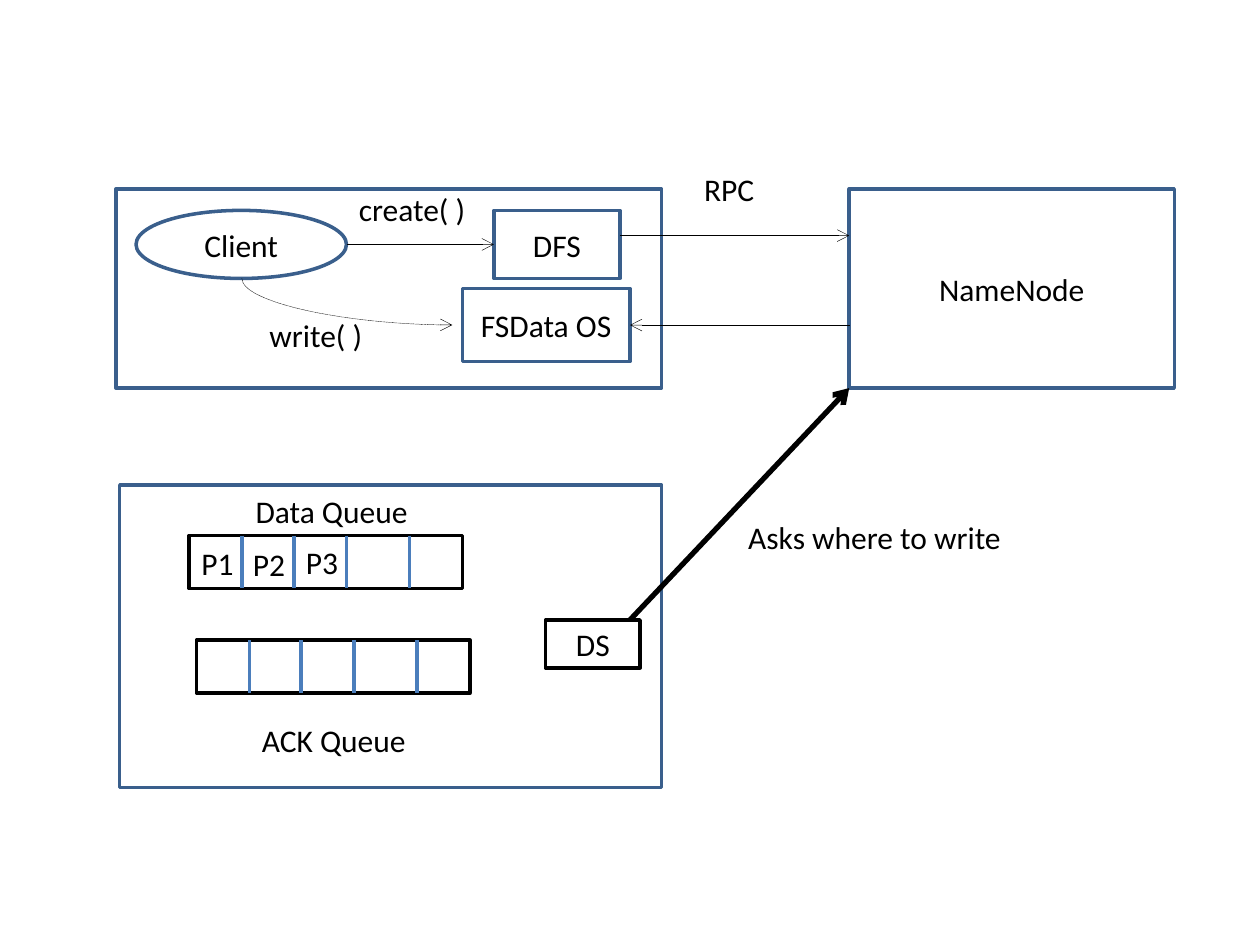
import pptx
import pptx.dml.color
import pptx.enum.dml
import pptx.enum.shapes
import pptx.enum.text
import pptx.oxml
import pptx.oxml.ns
import pptx.util

PX = 9144  # EMU per px, 100 px to the inch
FONT, SIZE = "Calibri", 18
BLACK = pptx.dml.color.RGBColor(0x00, 0x00, 0x00)
WHITE = pptx.dml.color.RGBColor(0xFF, 0xFF, 0xFF)
NAVY = pptx.dml.color.RGBColor(0x3A, 0x5F, 0x8C)
BLUE = pptx.dml.color.RGBColor(0x4B, 0x7E, 0xBC)

SHAPE = pptx.enum.shapes.MSO_SHAPE
LINE = pptx.enum.shapes.MSO_CONNECTOR
RECT, OVAL, PROCESS = SHAPE.RECTANGLE, SHAPE.OVAL, SHAPE.FLOWCHART_PROCESS

# name: (preset, left, top, width, height, fill, line, text)
BOXES = {
    "client side": (RECT, 92, 150, 433, 158, None, NAVY, ""),
    "client": (OVAL, 108, 167, 167, 54, None, NAVY, "Client"),
    "dfs": (RECT, 392, 167, 100, 54, None, NAVY, "DFS"),
    "namenode": (RECT, 674, 150, 258, 158, None, NAVY, "NameNode"),
    "stream": (PROCESS, 367, 229, 133, 58, WHITE, NAVY, "FSData OS"),
    "queue side": (PROCESS, 95, 385, 430, 240, WHITE, NAVY, ""),
    "data queue": (PROCESS, 150, 425, 217, 42, WHITE, BLACK, ""),
    "ack queue": (PROCESS, 156, 508, 217, 42, WHITE, BLACK, ""),
    "streamer": (PROCESS, 433, 492, 75, 38, WHITE, BLACK, "DS"),
}
QUEUES = ("data queue", "ack queue")
DIVIDERS = (42, 83, 125, 175)  # from the left edge of a queue

# (start x, start y, end x, end y, box and side joined at the end)
CALLS = [
    (275, 194, 392, 194, ("dfs", 1)),
    (492, 187, 674, 187, None),
    (674, 258, 500, 258, ("stream", 3)),
]
ASK = (500, 492, 674, 308)
WRITE = (294, 156, 257, 323)  # before its quarter turn

# (text, left, top, width)
LABELS = [
    ("create( )", 275, 146, 133),
    ("RPC", 549, 130, 85),
    ("write( )", 204, 246, 95),
    ("Data Queue", 193, 386, 143),
    ("ACK Queue", 198, 567, 136),
    ("Asks where to write", 584, 406, 223),
    ("P3", 233, 426, 46),
    ("P2", 191, 428, 46),
    ("P1", 150, 427, 46),
]
LABEL_HEIGHT = 40


def px(*lengths):
    return [n * PX for n in lengths]


def write_text(tf, text):
    tf.word_wrap = True
    p = tf.paragraphs[0]
    p.text = text
    p.font.name, p.font.size = FONT, pptx.util.Pt(SIZE)
    p.font.color.rgb = BLACK
    return p


def add_box(slide, preset, left, top, width, height, fill, line, text):
    sp = slide.shapes.add_shape(preset, *px(left, top, width, height))
    sp.shadow.inherit = False
    if fill is None:
        sp.fill.background()
    else:
        sp.fill.solid()
        sp.fill.fore_color.rgb = fill
    sp.line.color.rgb = line
    sp.line.width = pptx.util.Pt(2)
    if text:
        tf = sp.text_frame
        tf.vertical_anchor = pptx.enum.text.MSO_ANCHOR.MIDDLE
        tf.margin_left = tf.margin_right = 0
        write_text(tf, text).alignment = pptx.enum.text.PP_ALIGN.CENTER
    return sp


def add_line(slide, ends, color, width, arrow=False, dotted=False, kind=LINE.STRAIGHT):
    c = slide.shapes.add_connector(kind, *px(*ends))
    c.line.color.rgb = color
    c.line.width = pptx.util.Pt(width)
    if dotted:
        c.line.dash_style = pptx.enum.dml.MSO_LINE.ROUND_DOT
    if arrow:
        tail = pptx.oxml.parse_xml(
            '<a:tailEnd %s type="arrow"/>' % pptx.oxml.ns.nsdecls("a"))
        c.line._get_or_add_ln().append(tail)
    c._element.spPr.append(pptx.oxml.parse_xml(
        "<a:effectLst %s/>" % pptx.oxml.ns.nsdecls("a")))
    return c


def main():
    prs = pptx.Presentation()
    prs.slide_width, prs.slide_height = px(1000, 750)
    slide = prs.slides.add_slide(prs.slide_layouts[6])

    # Boxes, with the cells of the two queues
    boxes = {}
    for name, box in BOXES.items():
        boxes[name] = add_box(slide, *box)
        if name in QUEUES:
            left, top, height = box[1], box[2], box[4]
            for dx in DIVIDERS:
                add_line(slide, (left + dx, top, left + dx, top + height), BLUE, 2.25)

    # Calls between the boxes
    for *ends, joint in CALLS:
        c = add_line(slide, ends, BLACK, 0.25, arrow=True, dotted=True)
        if joint:
            name, side = joint
            c.end_connect(boxes[name], side)
    add_line(slide, ASK, BLACK, 3, arrow=True)

    # Curve from the client down to the stream
    c = add_line(slide, WRITE, BLACK, 0.25, arrow=True, dotted=True, kind=LINE.CURVE)
    spPr = c._element.spPr
    spPr.find(pptx.oxml.ns.qn("a:xfrm")).set("rot", str(270 * 60000))
    spPr.find(pptx.oxml.ns.qn("a:prstGeom")).set("prst", "curvedConnector2")

    # Labels
    for text, left, top, width in LABELS:
        tf = slide.shapes.add_textbox(*px(left, top, width, LABEL_HEIGHT)).text_frame
        tf.margin_right = 0
        write_text(tf, text)

    prs.save("out.pptx")


if __name__ == "__main__":
    main()
